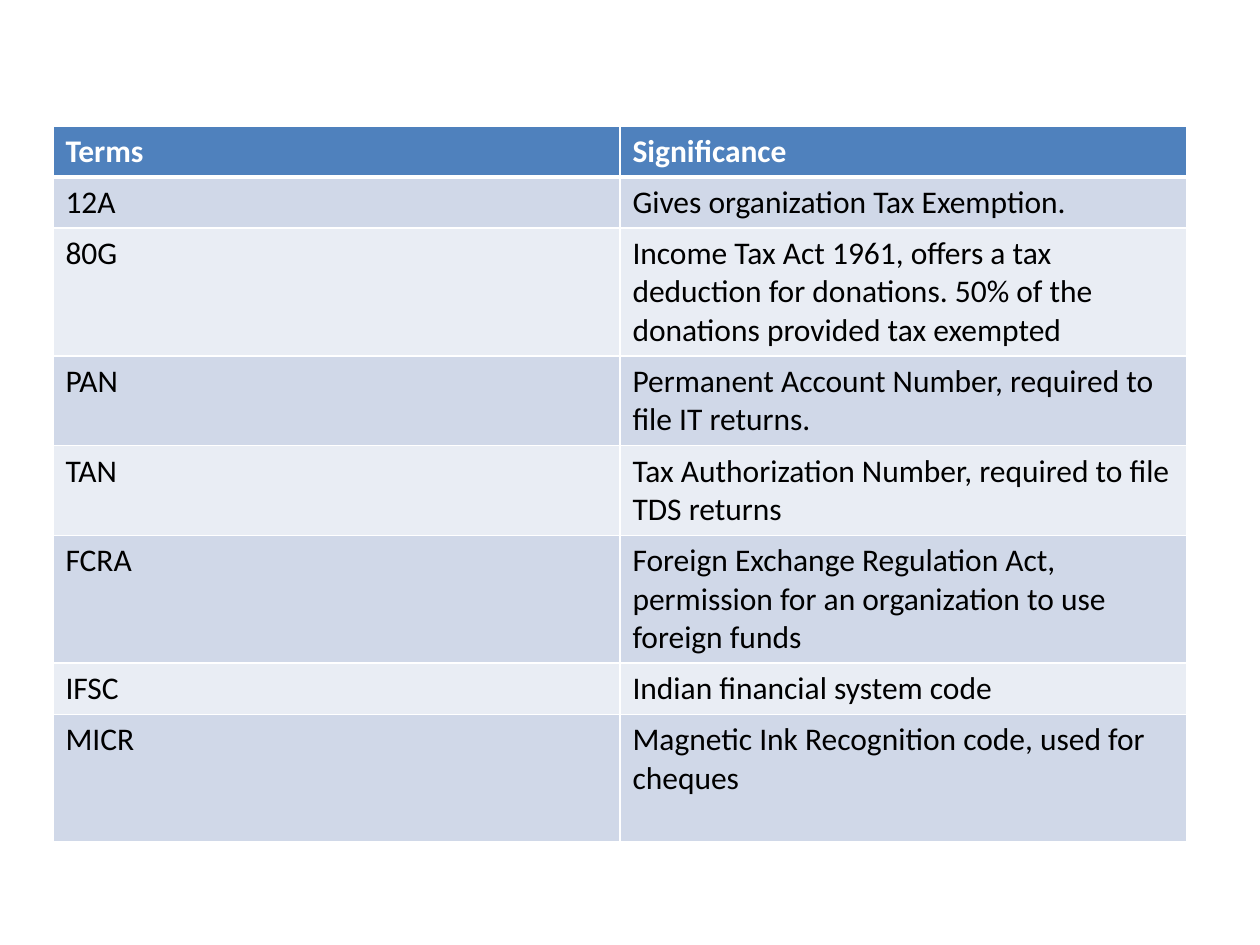
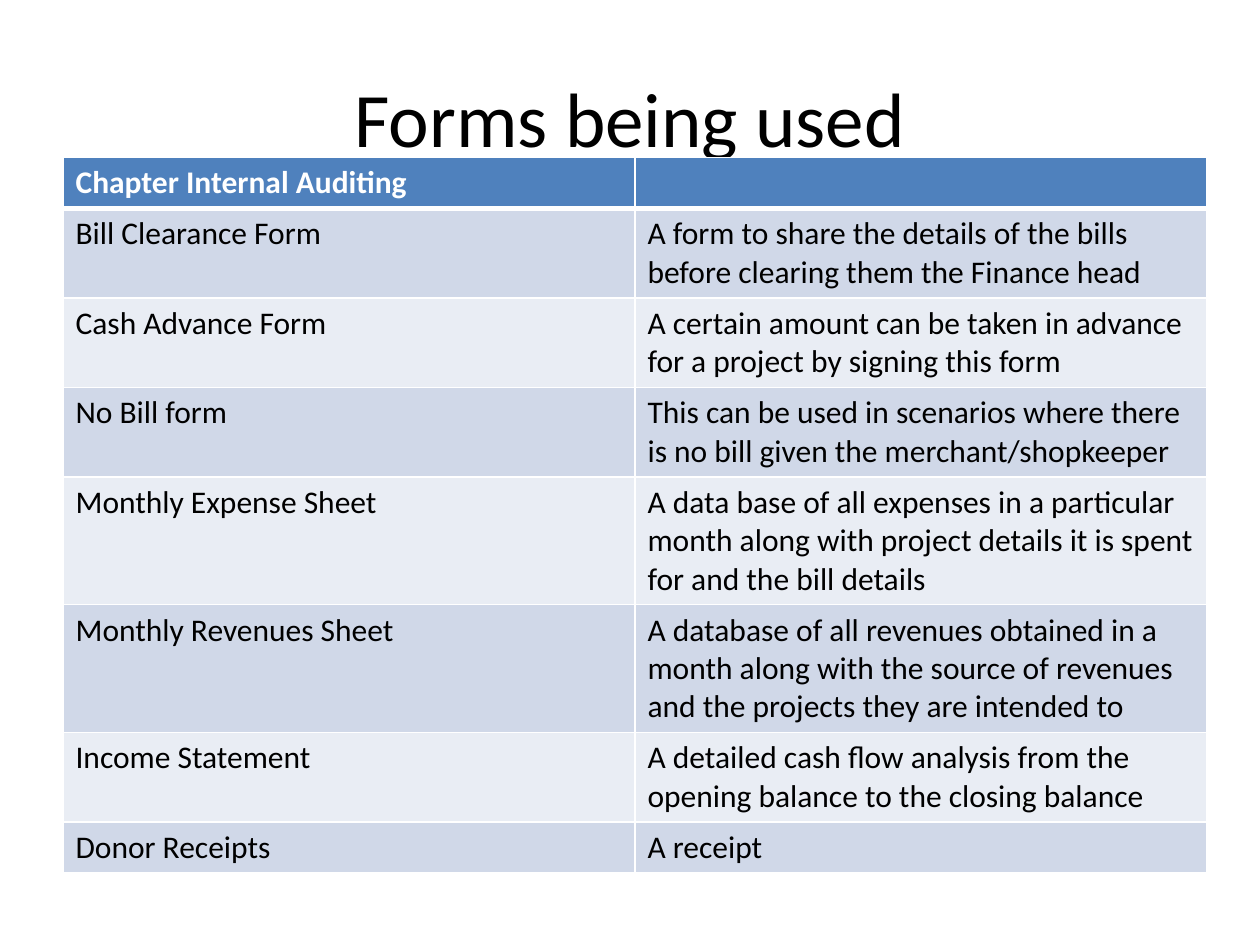
from dataclasses import dataclass

from lxml import etree
from pptx import Presentation
from pptx.dml.color import RGBColor
from pptx.enum import text
from pptx.oxml import ns
from pptx.util import Inches, Pt


@dataclass(frozen=True)
class Theme:
    font: str = "Calibri"
    ink: str = "000000"
    paper: str = "FFFFFF"
    header: str = "4F81BD"
    bands: tuple = ("D0D8E8", "E9EDF4")
    title_size: int = 44
    cell_size: int = 18
    rule: int = 1
    header_rule: int = 3
    line_height: float = 0.305
    cell_padding: float = 0.1


THEME = Theme()

# Each row: term, explanation, lines of text it has room for
TERMS = [
    ("Terms", "Significance", 1),
    ("12A", "Gives organization Tax Exemption.", 1),
    ("80G", "Income Tax Act 1961, offers a tax deduction for donations. "
            "50% of the donations provided tax exempted", 3),
    ("PAN", "Permanent Account Number, required to file IT returns.", 2),
    ("TAN", "Tax Authorization Number, required to file TDS returns", 2),
    ("FCRA", "Foreign Exchange Regulation Act, permission for an "
             "organization to use foreign funds", 3),
    ("IFSC", "Indian financial system code", 1),
    ("MICR", "Magnetic Ink Recognition code, used for cheques", 3),
]

FORMS = [
    ("Chapter Internal Auditing", "", 1),
    ("Bill Clearance Form", "A form to share the details of the bills before "
                            "clearing them the Finance head", 2),
    ("Cash Advance Form", "A certain amount can be taken in advance for a "
                          "project by signing this form", 2),
    ("No Bill form", "This can be used in scenarios where there is no bill "
                     "given the merchant/shopkeeper", 2),
    ("Monthly Expense Sheet", "A data base of all expenses in a particular month "
                              "along with project details it is spent for and "
                              "the bill details", 3),
    ("Monthly Revenues Sheet", "A database of all revenues obtained in a month "
                               "along with the source of revenues and the "
                               "projects they are intended to", 3),
    ("Income Statement", "A detailed cash flow analysis from the opening balance "
                         "to the closing balance", 2),
    ("Donor Receipts", "A receipt", 1),
]


def add_span(para, words, size, color, bold=False):
    span = para.add_run()
    span.text = words
    span.font.name = THEME.font
    span.font.size = Pt(size)
    span.font.bold = bold
    span.font.color.rgb = RGBColor.from_string(color)


def add_page(deck):
    page = deck.slides.add_slide(deck.slide_layouts[6])
    page.background.fill.solid()
    page.background.fill.fore_color.rgb = RGBColor.from_string(THEME.paper)
    return page


def add_title(page, words):
    box = page.shapes.add_textbox(Inches(0.5), Inches(0.3), Inches(9), Inches(1.25))
    frame = box.text_frame
    frame.word_wrap = True
    frame.vertical_anchor = text.MSO_ANCHOR.MIDDLE
    para = frame.paragraphs[0]
    para.alignment = text.PP_ALIGN.CENTER
    add_span(para, words, THEME.title_size, THEME.ink)


def set_borders(cell, top, bottom):
    properties = cell._tc.get_or_add_tcPr()
    widths = {"a:lnL": THEME.rule, "a:lnR": THEME.rule, "a:lnT": top, "a:lnB": bottom}
    for side, width in widths.items():
        line = etree.SubElement(properties, ns.qn(side), w=str(Pt(width)))
        fill = etree.SubElement(line, ns.qn("a:solidFill"))
        etree.SubElement(fill, ns.qn("a:srgbClr"), val=THEME.paper)


def fill_cell(cell, words, row):
    is_header = row == 0
    # The header and the first body row share the heavy rule
    set_borders(cell,
                top=THEME.header_rule if row == 1 else THEME.rule,
                bottom=THEME.header_rule if is_header else THEME.rule)
    color = THEME.header if is_header else THEME.bands[(row - 1) % 2]
    cell.fill.solid()
    cell.fill.fore_color.rgb = RGBColor.from_string(color)
    if words:
        add_span(cell.text_frame.paragraphs[0], words, THEME.cell_size,
                 THEME.paper if is_header else THEME.ink, bold=is_header)


def add_glossary(page, left, top, column_width, entries):
    heights = [THEME.cell_padding + lines * THEME.line_height for *_, lines in entries]
    table = page.shapes.add_table(len(entries), 2, Inches(left), Inches(top),
                                  Inches(2 * column_width), Inches(sum(heights))).table
    for column in table.columns:
        column.width = Inches(column_width)
    for row, (*words, _) in enumerate(entries):
        table.rows[row].height = Inches(heights[row])
        for column, phrase in enumerate(words):
            fill_cell(table.cell(row, column), phrase, row)


def main():
    deck = Presentation()
    deck.slide_width, deck.slide_height = Inches(10), Inches(7.5)

    # Tax and banking terms
    add_glossary(add_page(deck), 0.42, 1, 4.5, TERMS)

    # Forms
    page = add_page(deck)
    add_title(page, "Forms being used")
    add_glossary(page, 0.5, 1.25, 4.54, FORMS)

    deck.save("out.pptx")


if __name__ == "__main__":
    main()
